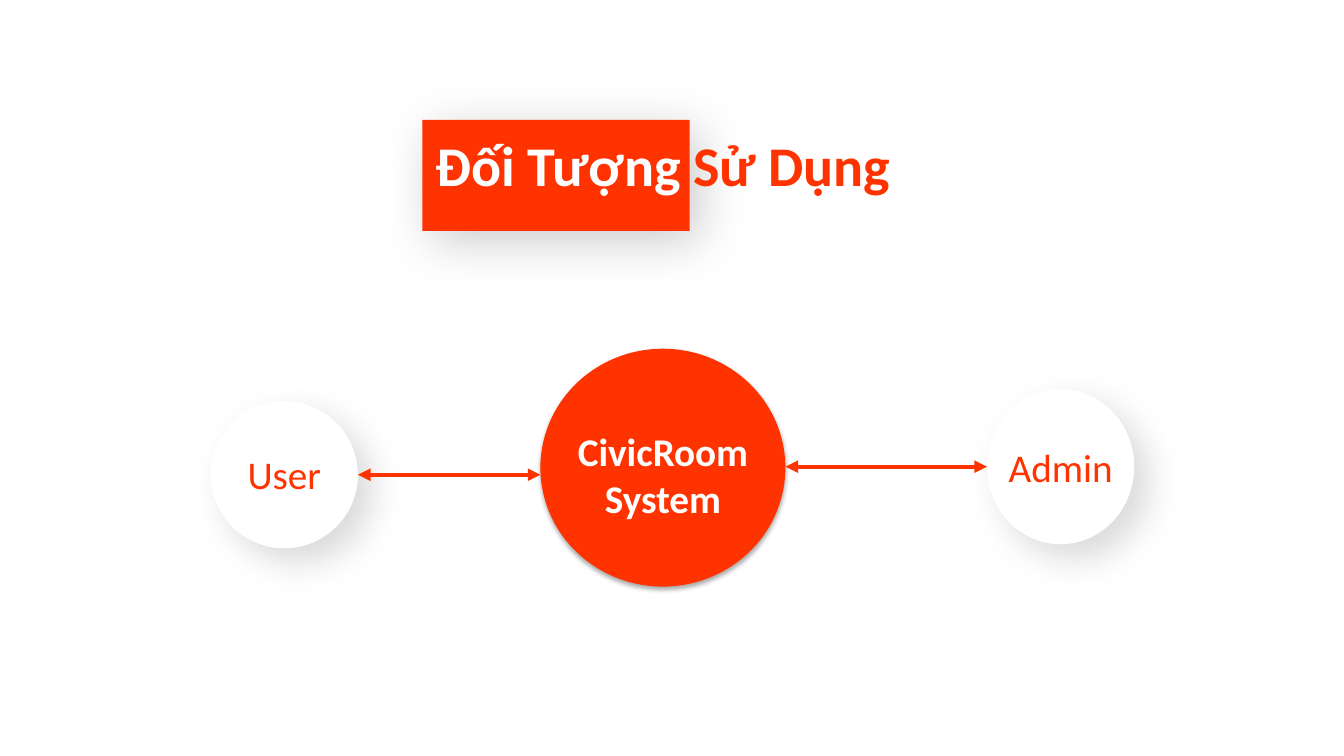
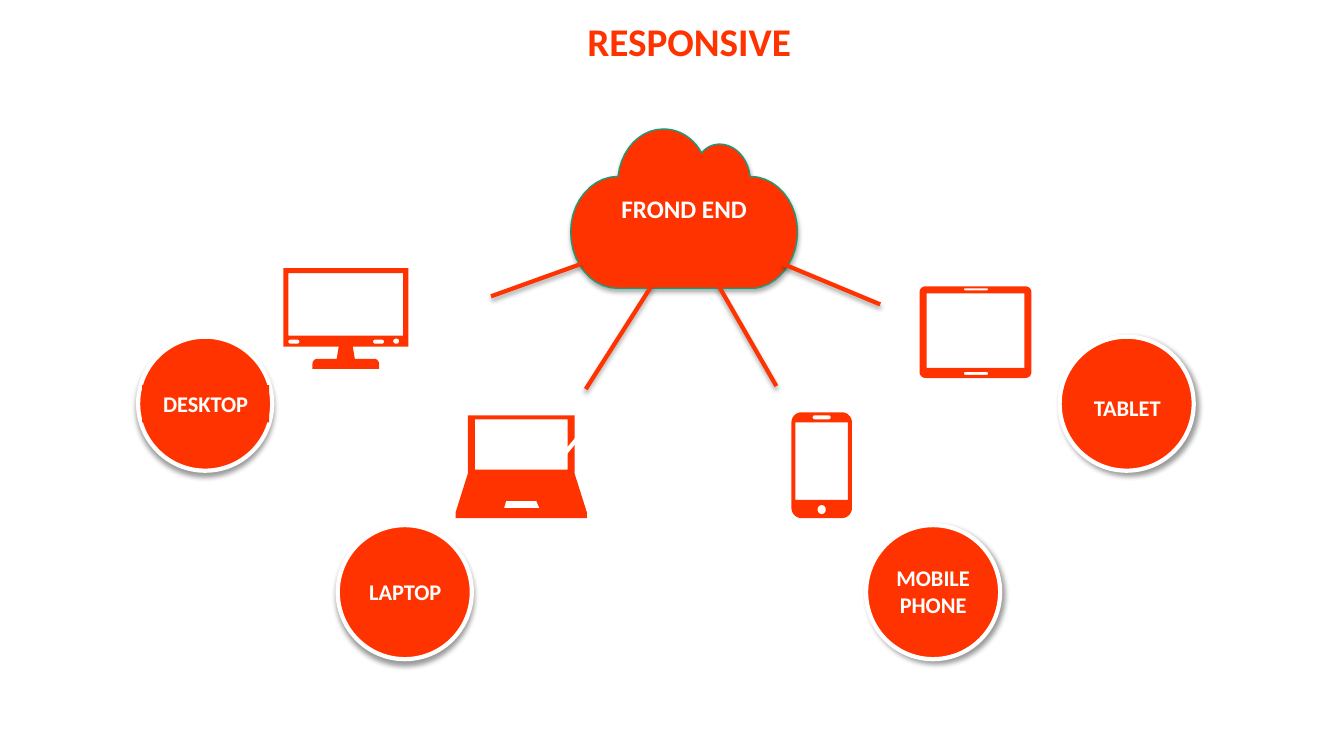
import math

import pptx
import pptx.dml.color
import pptx.enum.shapes
import pptx.enum.text
import pptx.oxml
import pptx.oxml.ns
import pptx.util

PX = 9144  # EMU in one px, 100 px to the inch
SHAPE = pptx.enum.shapes.MSO_SHAPE
A_NS = pptx.oxml.ns.nsdecls("a")

THEME = {
    "font": "Calibri", "accent": "FF3300", "white": "FFFFFF", "edge": "1D9A78",
    "title": 40, "heading": 28, "cloud": 18, "label": 16, "stroke": 3,
    # shadows: opacity %, blur pt, distance pt, angle
    "soft": (20, 36, 10, 45), "float": (15, 26, 14, 45), "thin": (32, 3.5, 2.2, 90),
    "down": (40, 4, 3, 90), "slant": (40, 4, 3, 45),
}
ACCENT, WHITE = THEME["accent"], THEME["white"]

# ---- Content: users of the system
TITLE_BAND = (419, 119, 265, 110)
TITLE_BOX = (358, 125, 599, 88)
TITLE_RUNS = [("Đối Tượng ", WHITE), ("Sử Dụng", ACCENT)]
# circle, fill, shadow, text box, text, text colour, bold
ROLES = [
    ((209, 398, 146, 146), WHITE, "float", (209, 442, 146, 57), "User", ACCENT, False),
    ((536, 346, 243, 236), ACCENT, "thin", (525, 419, 265, 104), "CivicRoom System", WHITE, True),
    ((979, 386, 146, 154), WHITE, "float", (979, 435, 146, 57), "Admin", ACCENT, False),
]
ROLE_ARROWS = [(779, 463, 979, 463), (355, 471, 536, 471)]

# ---- Content: devices
HEADING = ("RESPONSIVE", (17, 18, 1333, 84))
CLOUD_TEXT = "FROND END"
CLOUD_START = (658, 128)
CLOUD_CURVES = [  # two handles and an end point each
    ((674, 128), (688, 137), (696, 152)), ((700, 146), (707, 143), (714, 143)),
    ((729, 143), (742, 157), (744, 175)), ((770, 175), (791, 200), (791, 230)),
    ((791, 259), (772, 283), (749, 286)), ((705, 286), (661, 286), (612, 286)),
    ((587, 286), (566, 261), (566, 230)), ((566, 200), (587, 175), (613, 175)),
    ((616, 148), (635, 128), (658, 128)),
]
RAYS = [(576, 262, 487, 294), (777, 262, 873, 302),
        (646, 284, 581, 386), (713, 284, 770, 383)]
LAPTOP_GLINT = (631, 366, 560, 450)
BADGE = 133
# badge corner, shadow, label box, lines of text
BADGES = [
    ((137, 334), "down", (141, 382, 126, 37), ["DESKTOP"]),
    ((335, 521), "down", (341, 569, 122, 37), ["LAPTOP"]),
    ((859, 521), "slant", (871, 555, 109, 64), ["MOBILE", "PHONE"]),
    ((1051, 334), "slant", (1059, 386, 118, 37), ["TABLET"]),
]


def box(left, top, right, bottom, radius=0):
    """Corners (x, y, radius) of a rectangle."""
    return [(left, top, radius), (right, top, radius),
            (right, bottom, radius), (left, bottom, radius)]


def poly(*points):
    return [(x, y, 0) for x, y in points]


# Each icon is a list of outlines; inner ones become holes.
LAPTOP = [
    poly((464, 412), (570, 412), (570, 470), (582, 508), (582, 514),
         (452, 514), (452, 508), (464, 470)),
    box(471, 416, 563, 466),
    poly((502, 497), (532, 497), (535, 504), (500, 504)),
]
PHONE = [box(785, 409, 845, 514, 10), box(789, 419, 841, 496),
         box(806, 412, 824, 416, 2), box(811, 501, 819, 510, 4)]
DESKTOP = [
    [(281, 266, 0), (405, 266, 0), (405, 344, 0), (350, 344, 0), (352, 356, 0),
     (376, 356, 5), (376, 366, 0), (310, 366, 0), (310, 356, 5), (334, 356, 0),
     (336, 344, 0), (281, 344, 0)],
    box(286, 271, 400, 333), box(286, 337, 297, 341, 2),
    box(370, 337, 381, 341, 2), box(390, 336, 396, 341, 2.5),
]
TABLET = [box(912, 284, 1023, 375, 6), box(919, 291, 1016, 365),
          box(956, 286, 980, 288, 1), box(956, 369, 980, 372, 1.5)]


# ---- Drawing helpers
def emu(values):
    return [round(v * PX) for v in values]


def rgb(color):
    return pptx.dml.color.RGBColor.from_string(color)


def set_effects(sp, shadow=None):
    inner = ""
    if shadow:
        alpha, blur, dist, angle = THEME[shadow]
        inner = (f'<a:outerShdw blurRad="{round(blur * 12700)}" dist="{round(dist * 12700)}" '
                 f'dir="{angle * 60000}" algn="ctr" rotWithShape="0"><a:srgbClr val="000000">'
                 f'<a:alpha val="{alpha * 1000}"/></a:srgbClr></a:outerShdw>')
    sp._element.spPr.append(
        pptx.oxml.parse_xml(f"<a:effectLst {A_NS}>{inner}</a:effectLst>"))


def style(sp, fill, line=None, width=1, shadow=None):
    sp.fill.solid()
    sp.fill.fore_color.rgb = rgb(fill)
    if line:
        sp.line.color.rgb = rgb(line)
        sp.line.width = pptx.util.Pt(width)
    else:
        sp.line.fill.background()
    set_effects(sp, shadow)
    return sp


def add_preset(s, kind, area, fill, **look):
    return style(s.shapes.add_shape(kind, *emu(area)), fill, **look)


def write(sp, runs, size, bold=True, middle=False, spacing=None):
    """Fill one centred paragraph; a None run is a line break."""
    tf = sp.text_frame
    tf.word_wrap = True
    anchors = pptx.enum.text.MSO_ANCHOR
    tf.vertical_anchor = anchors.MIDDLE if middle else anchors.TOP
    p = tf.paragraphs[0]
    p.alignment = pptx.enum.text.PP_ALIGN.CENTER
    if spacing:
        p.line_spacing = spacing
    for run in runs:
        if run is None:
            p.add_line_break()
            continue
        r = p.add_run()
        r.text, color = run
        r.font.name, r.font.size, r.font.bold = THEME["font"], pptx.util.Pt(size), bold
        r.font.color.rgb = rgb(color)


def add_text(s, area, runs, size, **options):
    write(s.shapes.add_textbox(*emu(area)), runs, size, **options)


def add_line(s, ends, color=ACCENT, arrows=False, shadow=None):
    c = s.shapes.add_connector(pptx.enum.shapes.MSO_CONNECTOR.STRAIGHT, *emu(ends))
    c.line.color.rgb = rgb(color)
    c.line.width = pptx.util.Pt(THEME["stroke"])
    if arrows:
        ln = c.line._get_or_add_ln()
        for end in ("headEnd", "tailEnd"):
            ln.append(pptx.oxml.parse_xml(f'<a:{end} {A_NS} type="triangle"/>'))
    set_effects(c, shadow)


def curve(a, b, c, d, steps=10):
    """Points along a cubic curve, without its start."""
    for i in range(1, steps + 1):
        t = i / steps
        u = 1 - t
        yield tuple(u**3 * a[k] + 3 * u * u * t * b[k] + 3 * u * t * t * c[k] + t**3 * d[k]
                    for k in (0, 1))


def toward(start, end, distance):
    share = distance / math.dist(start, end)
    return tuple(start[k] + share * (end[k] - start[k]) for k in (0, 1))


def round_corners(corners):
    points = []
    for i, (x, y, radius) in enumerate(corners):
        if not radius:
            points.append((x, y))
            continue
        at, before, after = (x, y), corners[i - 1][:2], corners[(i + 1) % len(corners)][:2]
        first = toward(at, before, radius)
        points.append(first)
        points += curve(first, toward(at, before, radius * 0.45),
                        toward(at, after, radius * 0.45), toward(at, after, radius))
    return points


def add_outlines(s, outlines, **look):
    builder = None
    for outline in outlines:
        first, *rest = [emu(point) for point in outline]
        if builder is None:
            builder = s.shapes.build_freeform(*first)
        else:
            builder.move_to(*first)
        builder.add_line_segments(rest, close=True)
    return style(builder.convert_to_shape(), ACCENT, **look)


def add_icon(s, icon):
    add_outlines(s, [round_corners(corners) for corners in icon])


# ---- Slides
def new_slide(prs):
    s = prs.slides.add_slide(prs.slide_layouts[6])
    s.background.fill.solid()
    s.background.fill.fore_color.rgb = rgb(WHITE)
    return s


def users_slide(prs):
    s = new_slide(prs)
    add_preset(s, SHAPE.RECTANGLE, TITLE_BAND, ACCENT, shadow="soft")
    add_text(s, TITLE_BOX, TITLE_RUNS, THEME["title"])
    for circle, fill, shadow, area, text, color, bold in ROLES:
        add_preset(s, SHAPE.OVAL, circle, fill, shadow=shadow)
        add_text(s, area, [(text, color)], THEME["heading"], bold=bold)
    for ends in ROLE_ARROWS:
        add_line(s, ends, arrows=True)


def devices_slide(prs):
    s = new_slide(prs)
    text, area = HEADING
    add_text(s, area, [(text, ACCENT)], THEME["heading"], spacing=0.9)
    add_icon(s, LAPTOP)
    add_icon(s, PHONE)
    add_line(s, LAPTOP_GLINT, color=WHITE)

    # Badges with their labels
    for corner, shadow, area, lines in BADGES:
        add_preset(s, SHAPE.OVAL, (*corner, BADGE, BADGE), ACCENT,
                   line=WHITE, width=THEME["stroke"], shadow=shadow)
        runs = [(lines[0], WHITE)]
        for line in lines[1:]:
            runs += [None, (line, WHITE)]
        write(add_preset(s, SHAPE.RECTANGLE, area, ACCENT), runs, THEME["label"])

    # Cloud and its rays
    points = [CLOUD_START]
    for handles in CLOUD_CURVES:
        points += curve(points[-1], *handles)
    cloud = add_outlines(s, [points], line=THEME["edge"], shadow="thin")
    write(cloud, [(CLOUD_TEXT, WHITE)], THEME["cloud"], middle=True)
    for ends in RAYS:
        add_line(s, ends, shadow="thin")
    add_icon(s, DESKTOP)
    add_icon(s, TABLET)


def main():
    prs = pptx.Presentation()
    prs.slide_width, prs.slide_height = emu((1333, 750))
    users_slide(prs)
    devices_slide(prs)
    prs.save("out.pptx")


if __name__ == "__main__":
    main()
